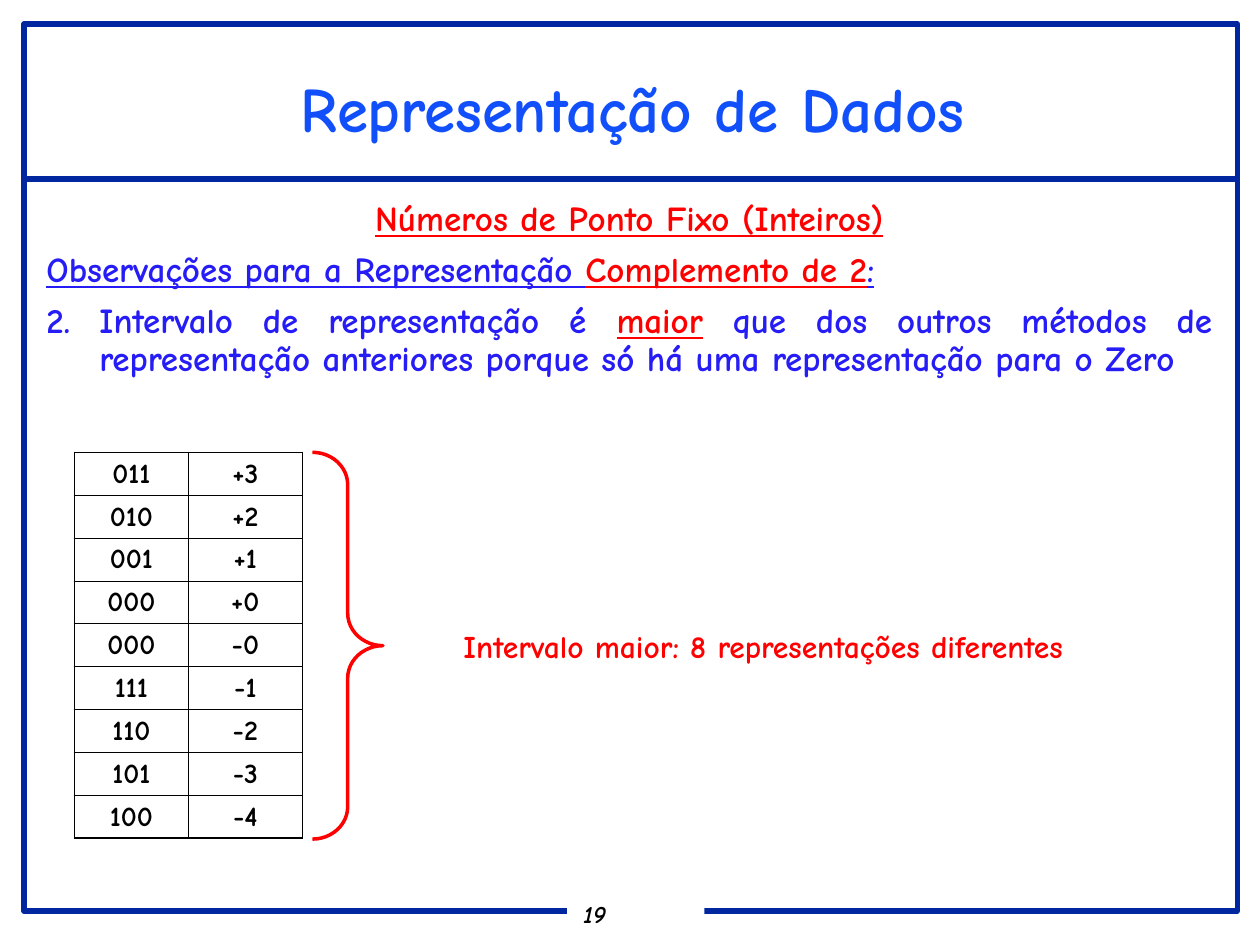
from pptx import Presentation
from pptx.dml.color import RGBColor
from pptx.enum.shapes import MSO_CONNECTOR, MSO_SHAPE
from pptx.enum.text import MSO_ANCHOR, PP_ALIGN
from pptx.oxml.ns import qn
from pptx.util import Inches, Pt
from lxml.etree import SubElement

FONT = "Comic Neue"
NAVY, TITLE_BLUE, TEXT_BLUE = "00279F", "114FFB", "261CF6"
RED, BLACK, WHITE = "FF0000", "000000", "FFFFFF"
INTEGERS = [("011", "+3"), ("010", "+2"), ("001", "+1"),
            ("000", "+0"), ("000", "-0"), ("111", "-1"),
            ("110", "-2"), ("101", "-3"), ("100", "-4")]


def rgb(color):
    return RGBColor.from_string(color)


def write(paragraph, runs, size, align=PP_ALIGN.LEFT, spacing=0.9, before=0,
          italic=False):
    """Fill a paragraph with (text, colour, underlined) runs."""
    paragraph.alignment = align
    paragraph.line_spacing = spacing
    paragraph.space_before = Pt(before)
    for text, color, underlined in runs:
        run = paragraph.add_run()
        run.text = text
        font = run.font
        font.name, font.size, font.bold = FONT, Pt(size), True
        font.italic, font.underline = italic, underlined
        font.color.rgb = rgb(color)


def set_margins(frame, side, end):
    frame.margin_left = frame.margin_right = Inches(side)
    frame.margin_top = frame.margin_bottom = Inches(end)


def add_text_frame(slide, box, side=0.1, end=0.05, wrap=True):
    frame = slide.shapes.add_textbox(*map(Inches, box)).text_frame
    frame.word_wrap = wrap
    set_margins(frame, side, end)
    return frame


def style_outline(shape, color, width):
    shape.line.color.rgb = rgb(color)
    shape.line.width = Pt(width)


def add_frame(slide, box, rule_y):
    left, top, width, height = box
    # Rule under the title
    rule = slide.shapes.add_connector(
        MSO_CONNECTOR.STRAIGHT, Inches(left), Inches(rule_y),
        Inches(left + width), Inches(rule_y))
    style_outline(rule, NAVY, 3)
    SubElement(rule._element.spPr, qn("a:effectLst"))
    # Border around the slide
    border = slide.shapes.add_shape(MSO_SHAPE.RECTANGLE, *map(Inches, box))
    border.shadow.inherit = False
    border.fill.background()
    style_outline(border, NAVY, 3)


def add_page_number(slide, box, number):
    plate = slide.shapes.add_shape(MSO_SHAPE.RECTANGLE, *map(Inches, box))
    plate.shadow.inherit = False
    plate.fill.solid()
    plate.fill.fore_color.rgb = rgb(WHITE)
    plate.line.fill.background()
    frame = plate.text_frame
    set_margins(frame, 0.13, 0.03)
    frame.vertical_anchor = MSO_ANCHOR.TOP
    write(frame.paragraphs[0], [(number, BLACK, False)], 14, italic=True)


def add_title(slide, box, title):
    frame = add_text_frame(slide, box, side=0.07, end=0.03)
    write(frame.paragraphs[0], [(title, TITLE_BLUE, False)], 36,
          align=PP_ALIGN.CENTER, spacing=0.95)


def hang(paragraph, indent, number=None):
    """Give a hanging indent and, if wanted, a list number."""
    properties = paragraph._p.get_or_add_pPr()
    properties.set("marL", str(Inches(indent)))
    properties.set("indent", str(-Inches(indent)))
    if number:
        SubElement(properties, qn("a:buAutoNum"), type="arabicPeriod",
                   startAt=str(number))


def add_observations(slide, box):
    frame = add_text_frame(slide, box)
    heading = frame.paragraphs[0]
    write(heading, [("Números de Ponto Fixo (Inteiros)", RED, True)], 20,
          align=PP_ALIGN.CENTER)

    subheading = frame.add_paragraph()
    write(subheading, [("Observações para a Representação ", TEXT_BLUE, True),
                       ("Complemento de 2", RED, True),
                       (":", TEXT_BLUE, True)], 20, before=7.5)

    observation = frame.add_paragraph()
    hang(observation, 0.42, number=2)
    write(observation, [
        ("Intervalo de representação é ", TEXT_BLUE, False),
        ("maior", RED, True),
        (" que dos outros métodos de representação anteriores porque só há "
         "uma representação para o Zero", TEXT_BLUE, False),
    ], 20, align=PP_ALIGN.JUSTIFY, before=7.5)


def add_borders(cell, outer_sides):
    properties = cell._tc.get_or_add_tcPr()
    for side in "LRTB":
        width = Pt(1.08 if side in outer_sides else 0.45)
        line = SubElement(properties, qn(f"a:ln{side}"), w=str(width))
        fill = SubElement(line, qn("a:solidFill"))
        SubElement(fill, qn("a:srgbClr"), val=BLACK)


def add_integer_table(slide, box, rows):
    row_count, column_count = len(rows), len(rows[0])
    left, top, width, height = map(Inches, box)
    graphic = slide.shapes.add_table(row_count, column_count,
                                     left, top, width, height)
    table = graphic.table
    table.first_row = table.horz_banding = False
    for r, row in enumerate(rows):
        for c, value in enumerate(row):
            cell = table.cell(r, c)
            cell.vertical_anchor = MSO_ANCHOR.BOTTOM
            outer = {"L": c == 0, "R": c == column_count - 1,
                     "T": r == 0, "B": r == row_count - 1}
            add_borders(cell, [side for side in outer if outer[side]])
            cell.fill.background()
            write(cell.text_frame.paragraphs[0], [(value, BLACK, False)], 16,
                  align=PP_ALIGN.CENTER)


def add_range_note(slide, brace_box, note_box):
    # Brace spanning the table rows
    brace = slide.shapes.add_shape(MSO_SHAPE.RIGHT_BRACE,
                                   *map(Inches, brace_box))
    brace.shadow.inherit = False
    brace.adjustments[0] = 0.46
    brace.fill.background()
    style_outline(brace, RED, 2)
    # Conclusion beside the brace
    note = add_text_frame(slide, note_box, wrap=False)
    write(note.paragraphs[0],
          [("Intervalo maior: 8 representações diferentes", RED, False)], 18,
          spacing=1.0)


def main():
    presentation = Presentation()
    presentation.slide_width = Inches(10)
    presentation.slide_height = Inches(7.5)
    slide = presentation.slides.add_slide(presentation.slide_layouts[6])

    add_frame(slide, (0.19, 0.19, 9.63, 7.04), rule_y=1.42)
    add_page_number(slide, (4.5, 7.13, 1.09, 0.27), "19")
    add_title(slide, (1.99, 0.57, 6.06, 0.63), "Representação de Dados")
    add_observations(slide, (0.27, 1.55, 9.45, 5.13))
    add_integer_table(slide, (0.59, 3.59, 1.81, 3.06), INTEGERS)
    add_range_note(slide, (2.48, 3.59, 0.56, 3.07), (3.58, 4.93, 5.01, 0.4))

    presentation.save("out.pptx")


if __name__ == "__main__":
    main()
